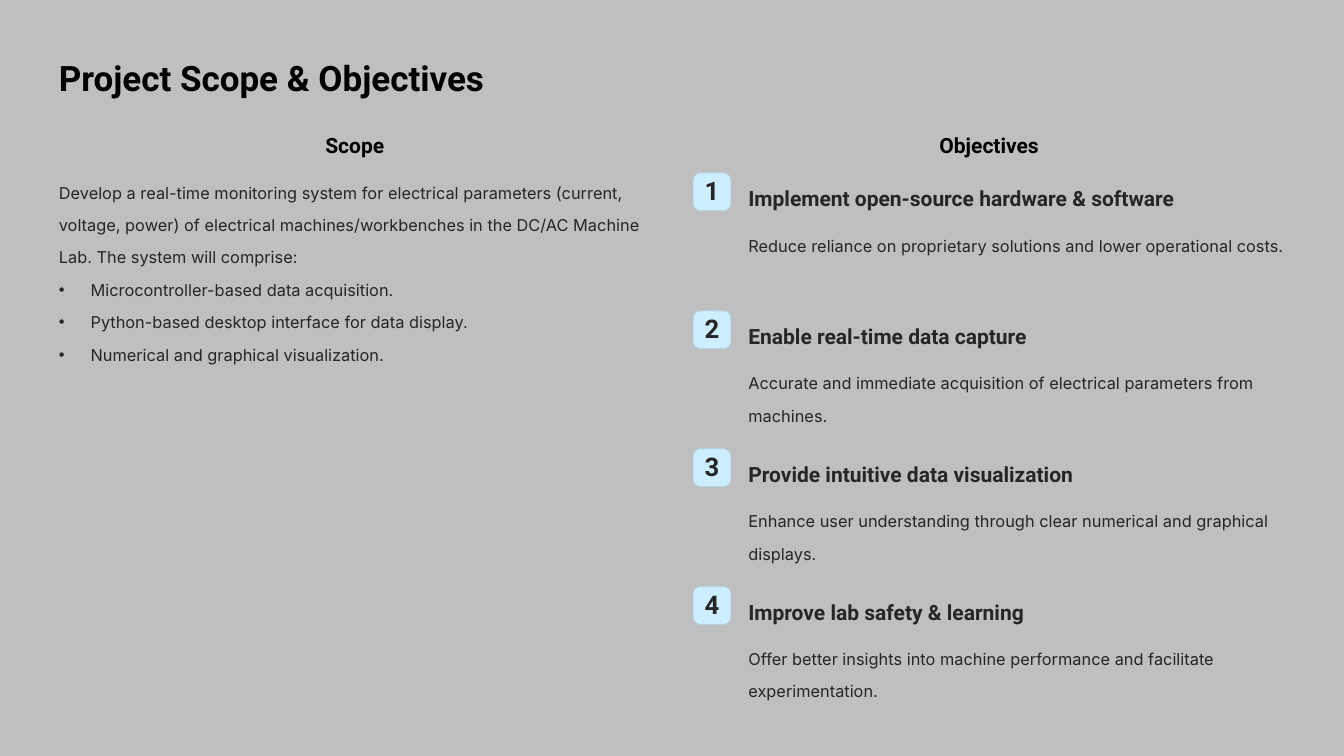
from pptx import Presentation
from pptx.dml.color import RGBColor
from pptx.enum.shapes import MSO_SHAPE as Shape
from pptx.enum.text import MSO_ANCHOR as Anchor, MSO_AUTO_SIZE as Fit, PP_ALIGN as Align
from pptx.oxml import parse_xml
from pptx.oxml.ns import nsdecls
from pptx.util import Cm, Pt

BLACK = RGBColor(0x00, 0x00, 0x00)
INK = RGBColor(0x27, 0x25, 0x25)
GREY = RGBColor(0xBF, 0xBF, 0xBF)
SKY = RGBColor(0xCC, 0xEE, 0xFF)
EDGE = RGBColor(0xB2, 0xD4, 0xE5)

LEFT, RIGHT = 1.78, 22.63
TOP, STEP = 5.23, 4.17
BADGE = 1.14

BULLET = (
    f'<a:buClr {nsdecls("a")}><a:srgbClr val="{INK}"/></a:buClr>',
    f'<a:buFont {nsdecls("a")} typeface="Arial"/>',
    f'<a:buChar {nsdecls("a")} char="•"/>',
)

SCOPE = (
    "Develop a real-time monitoring system for electrical parameters (current, "
    "voltage, power) of electrical machines/workbenches in the DC/AC Machine "
    "Lab. The system will comprise:"
)
PARTS = [
    "Microcontroller-based data acquisition.",
    "Python-based desktop interface for data display.",
    "Numerical and graphical visualization.",
]
GOALS = [
    ("Implement open-source hardware & software",
     "Reduce reliance on proprietary solutions and lower operational costs."),
    ("Enable real-time data capture",
     "Accurate and immediate acquisition of electrical parameters from machines."),
    ("Provide intuitive data visualization",
     "Enhance user understanding through clear numerical and graphical displays."),
    ("Improve lab safety & learning",
     "Offer better insights into machine performance and facilitate experimentation."),
]


def style(para, size, face, color, bold):
    font = para.font
    font.size, font.name, font.bold = Pt(size), face, bold
    font.color.rgb = color


def write(box, lines, size, face="Inter", color=INK, bold=False,
          gap=1.64, align=Align.LEFT, bullet=False):
    """Add a text box with one paragraph per line; box is in cm."""
    frame = slide.shapes.add_textbox(*map(Cm, box)).text_frame
    frame.margin_left = frame.margin_right = 0
    frame.margin_top = frame.margin_bottom = 0
    frame.word_wrap = True
    frame.auto_size = Fit.SHAPE_TO_FIT_TEXT
    frame.text = "\n".join(lines)
    for para in frame.paragraphs:
        para.alignment = align
        para.line_spacing = gap
        if bullet:
            para.space_after = Pt(0.5)
            props = para._p.get_or_add_pPr()
            props.set("marL", str(Cm(0.96)))
            props.set("indent", str(Cm(-0.96)))
            for xml in BULLET:
                props.append(parse_xml(xml))
        style(para, size, face, color, bold)


deck = Presentation()
deck.slide_width, deck.slide_height = Cm(40.64), Cm(22.86)
slide = deck.slides.add_slide(deck.slide_layouts[6])
slide.background.fill.solid()
slide.background.fill.fore_color.rgb = GREY

write((LEFT, 1.4, 17.27, 1.27), ["Project Scope & Objectives"], 30, "Roboto",
      BLACK, True, 1.25)
for left, head in ((7.39, "Scope"), (26.57, "Objectives")):
    write((left, 3.81, 6.68, 0.79), [head], 18, "Roboto", BLACK, True, 1.27,
          Align.CENTER)

write((LEFT, 5.16, 17.91, 2.57), [SCOPE], 14)
write((LEFT, 8.08, 17.91, 2.59), PARTS, 14, bullet=True)

for i, (head, body) in enumerate(GOALS):
    top = TOP + i * STEP
    badge = slide.shapes.add_shape(
        Shape.ROUNDED_RECTANGLE, Cm(20.96), Cm(top), Cm(BADGE), Cm(BADGE))
    badge.adjustments[0] = 0.19
    badge.shadow.inherit = False
    badge.fill.solid()
    badge.fill.fore_color.rgb = SKY
    badge.line.color.rgb = EDGE
    badge.line.width = Pt(0.75)
    frame = badge.text_frame
    frame.margin_left = frame.margin_right = frame.margin_top = 0
    frame.margin_bottom = Cm(0.08)
    frame.vertical_anchor = Anchor.MIDDLE
    frame.text = str(i + 1)
    para = frame.paragraphs[0]
    para.alignment = Align.CENTER
    style(para, 22, "Roboto", INK, True)

    write((RIGHT, top + 0.18, 16.26, 0.79), [head], 18, "Roboto", bold=True, gap=1.27)
    write((RIGHT, top + 1.52, 16.26, 1.57), [body], 14)

deck.save("out.pptx")
